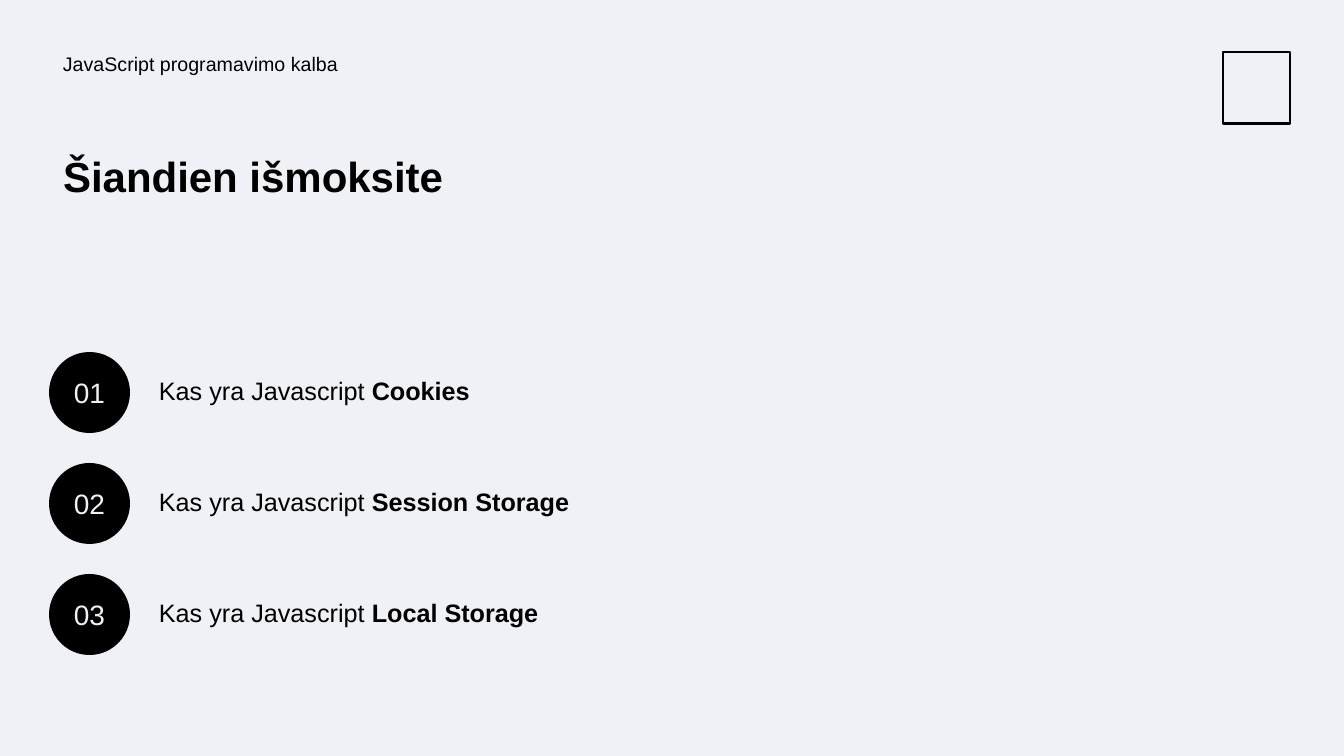
"""Build the lesson goals slide of a JavaScript course."""
from pptx import Presentation
from pptx.dml.color import RGBColor
from pptx.enum.shapes import MSO_SHAPE
from pptx.enum.text import MSO_ANCHOR, MSO_AUTO_SIZE, PP_ALIGN
from pptx.util import Emu, Pt

COURSE = "JavaScript programavimo kalba"
HEADING = "Šiandien išmoksite"
QUESTION = "Kas yra Javascript "
TOPICS = ["Cookies", "Session Storage", "Local Storage"]

INK, PAPER = "000000", "F0F1F6"
FONT = "Arial"
WIDTH, HEIGHT = 1344, 756
COURSE_BOX = (53, 50, 748, 50)
HEADING_BOX = (53, 151, 569, 150)
EMBLEM_BOX = (1223, 52, 67, 72)
BADGE_LEFT, BADGE_TOP, BADGE_SIZE = 49, 352, 81
TOPIC_LEFT, TOPIC_WIDTH, TOPIC_HEIGHT = 149, 582, 45
ROW_STEP = 111
EMU_PER_PX = 914400 / 100.8


def px(*lengths):
    return [Emu(round(length * EMU_PER_PX)) for length in lengths]


def color(hex_code):
    return RGBColor.from_string(hex_code)


def style(paragraph, size, hex_code=INK, bold=None):
    paragraph.font.name = FONT
    paragraph.font.size = Pt(size)
    paragraph.font.color.rgb = color(hex_code)
    paragraph.font.bold = bold


def add_text(slide, box, text, size):
    frame = slide.shapes.add_textbox(*px(*box)).text_frame
    frame.word_wrap = True
    paragraph = frame.paragraphs[0]
    paragraph.add_run().text = text
    style(paragraph, size)
    return paragraph


def add_heading(slide):
    title = slide.shapes.title
    title.left, title.top, title.width, title.height = px(*HEADING_BOX)
    frame = title.text_frame
    frame.text = HEADING
    frame.word_wrap = True
    frame.auto_size = MSO_AUTO_SIZE.NONE
    frame.vertical_anchor = MSO_ANCHOR.TOP
    paragraph = frame.paragraphs[0]
    paragraph.alignment = PP_ALIGN.LEFT
    paragraph.line_spacing = 0.9
    style(paragraph, 30, bold=True)


def add_emblem(slide):
    emblem = slide.shapes.add_shape(MSO_SHAPE.RECTANGLE, *px(*EMBLEM_BOX))
    emblem.shadow.inherit = False
    emblem.fill.background()
    emblem.line.color.rgb = color(INK)
    emblem.line.width = Pt(2)


def add_badge(slide, top, number):
    badge = slide.shapes.add_shape(
        MSO_SHAPE.OVAL, *px(BADGE_LEFT, top, BADGE_SIZE, BADGE_SIZE))
    badge.shadow.inherit = False
    badge.fill.solid()
    badge.fill.fore_color.rgb = color(INK)
    badge.line.fill.background()
    frame = badge.text_frame
    frame.text = f"{number:02d}"
    frame.vertical_anchor = MSO_ANCHOR.MIDDLE
    frame.paragraphs[0].alignment = PP_ALIGN.CENTER
    style(frame.paragraphs[0], 20, PAPER)


def main():
    deck = Presentation()
    deck.slide_width, deck.slide_height = px(WIDTH, HEIGHT)
    slide = deck.slides.add_slide(deck.slide_layouts[5])
    slide.background.fill.solid()
    slide.background.fill.fore_color.rgb = color(PAPER)

    add_emblem(slide)
    add_text(slide, COURSE_BOX, COURSE, 14).line_spacing = 0.9
    add_heading(slide)
    for row, topic in enumerate(TOPICS):
        top = BADGE_TOP + row * ROW_STEP
        add_badge(slide, top, row + 1)
        topic_top = top + (BADGE_SIZE - TOPIC_HEIGHT) // 2
        topic_box = (TOPIC_LEFT, topic_top, TOPIC_WIDTH, TOPIC_HEIGHT)
        answer = add_text(slide, topic_box, QUESTION, 18).add_run()
        answer.text = topic
        answer.font.bold = True
    deck.save("out.pptx")


if __name__ == "__main__":
    main()
